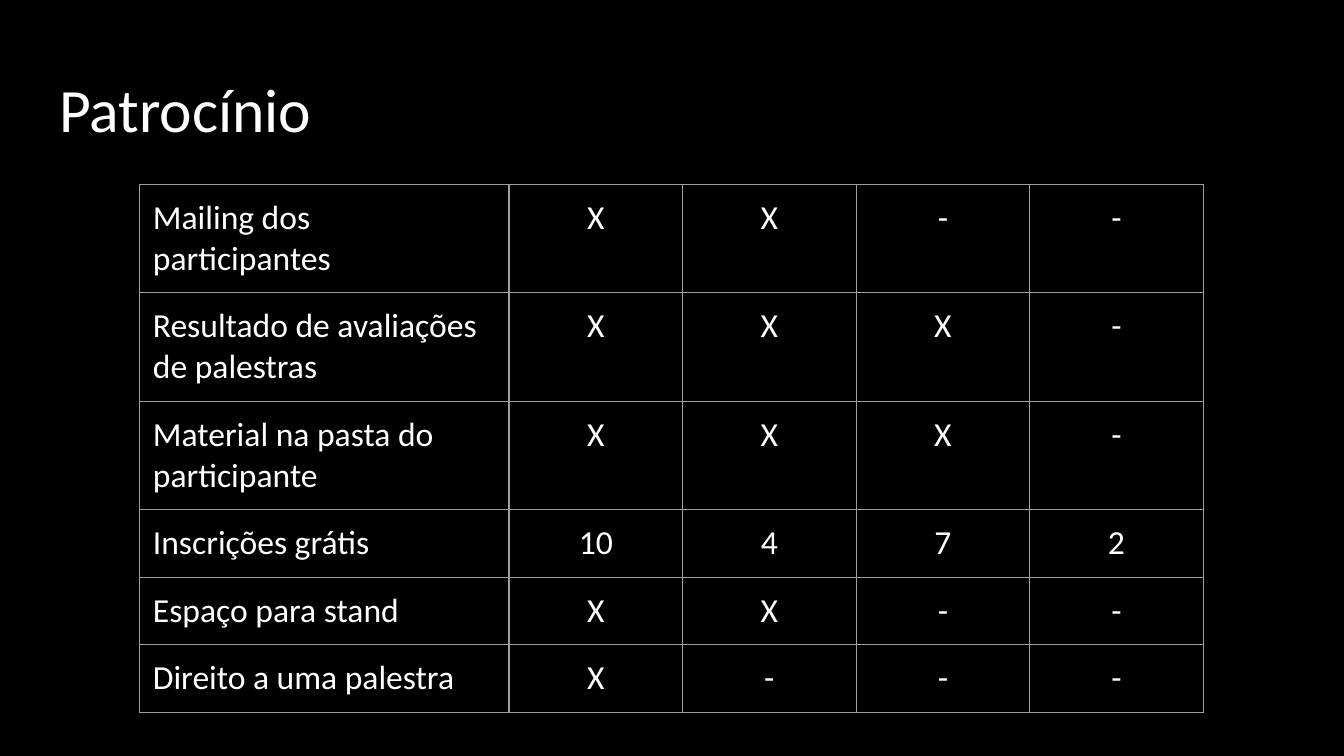
"""Build the sponsorship benefits slide."""
from lxml import etree
from pptx import Presentation
from pptx.dml.color import RGBColor
from pptx.enum.text import MSO_ANCHOR, PP_ALIGN
from pptx.oxml.ns import qn
from pptx.util import Cm, Pt

TOP = MSO_ANCHOR.TOP
LEFT = PP_ALIGN.LEFT
CENTER = PP_ALIGN.CENTER

FONT = "Calibri"
BLACK = "000000"
WHITE = "FFFFFF"
GRAY = "9E9E9E"
INSET = Cm(0.25)
ROW_HEIGHT = Cm(1.07)
COLUMN_WIDTHS = [Cm(6.98)] + [Cm(3.28)] * 4
BENEFITS = [
    ("Mailing dos participantes", "X", "X", "-", "-"),
    ("Resultado de avaliações de palestras", "X", "X", "X", "-"),
    ("Material na pasta do participante", "X", "X", "X", "-"),
    ("Inscrições grátis", "10", "4", "7", "2"),
    ("Espaço para stand", "X", "X", "-", "-"),
    ("Direito a uma palestra", "X", "-", "-", "-"),
]


def color(hex_value):
    """Return the colour for a hex string."""
    return RGBColor.from_string(hex_value)


def format_paragraph(paragraph, size, alignment):
    """Align a paragraph and format its runs."""
    paragraph.alignment = alignment
    for run in paragraph.runs:
        run.font.name = FONT
        run.font.size = Pt(size)
        run.font.color.rgb = color(WHITE)


def set_margins(target):
    """Give a cell or text frame the common inset on all sides."""
    target.margin_left = target.margin_right = INSET
    target.margin_top = target.margin_bottom = INSET


def set_borders(cell, hex_value, width):
    """Draw a solid line on each side of a cell."""
    properties = cell._tc.get_or_add_tcPr()
    for position, side in enumerate(("a:lnL", "a:lnR", "a:lnT", "a:lnB")):
        line = etree.Element(qn(side), w=str(Pt(width)))
        fill = etree.SubElement(line, qn("a:solidFill"))
        etree.SubElement(fill, qn("a:srgbClr"), val=hex_value)
        properties.insert(position, line)


def set_title(slide, text):
    """Place and format the slide title."""
    title = slide.shapes.title
    title.left, title.top = Cm(0.87), Cm(1.24)
    title.width, title.height = Cm(23.67), Cm(1.6)
    frame = title.text_frame
    frame.text = text
    frame.word_wrap = True
    frame.vertical_anchor = TOP
    set_margins(frame)
    paragraph = frame.paragraphs[0]
    paragraph.line_spacing = 0.9
    format_paragraph(paragraph, 33, LEFT)


def fill_cell(cell, text, alignment):
    """Write and format one table cell."""
    cell.text_frame.text = text
    cell.vertical_anchor = TOP
    set_margins(cell)
    cell.fill.background()
    set_borders(cell, GRAY, 0.75)
    format_paragraph(cell.text_frame.paragraphs[0], 18, alignment)


def add_benefits_table(slide, rows):
    """Add the table of benefits per sponsorship level."""
    table = slide.shapes.add_table(
        len(rows), len(COLUMN_WIDTHS), Cm(2.64), Cm(3.48),
        sum(COLUMN_WIDTHS), ROW_HEIGHT * len(rows)).table
    table.first_row = False
    table.horz_banding = False
    for column, width in zip(table.columns, COLUMN_WIDTHS):
        column.width = width
    for row, values in zip(table.rows, rows):
        row.height = ROW_HEIGHT
        for index, (cell, value) in enumerate(zip(row.cells, values)):
            fill_cell(cell, value, CENTER if index else LEFT)


def main():
    """Build and save the presentation."""
    presentation = Presentation()
    presentation.slide_width = Cm(25.4)
    presentation.slide_height = Cm(14.29)
    slide = presentation.slides.add_slide(presentation.slide_layouts[5])
    background = slide.background.fill
    background.solid()
    background.fore_color.rgb = color(BLACK)
    set_title(slide, "Patrocínio")
    add_benefits_table(slide, BENEFITS)
    presentation.save("out.pptx")


if __name__ == "__main__":
    main()
